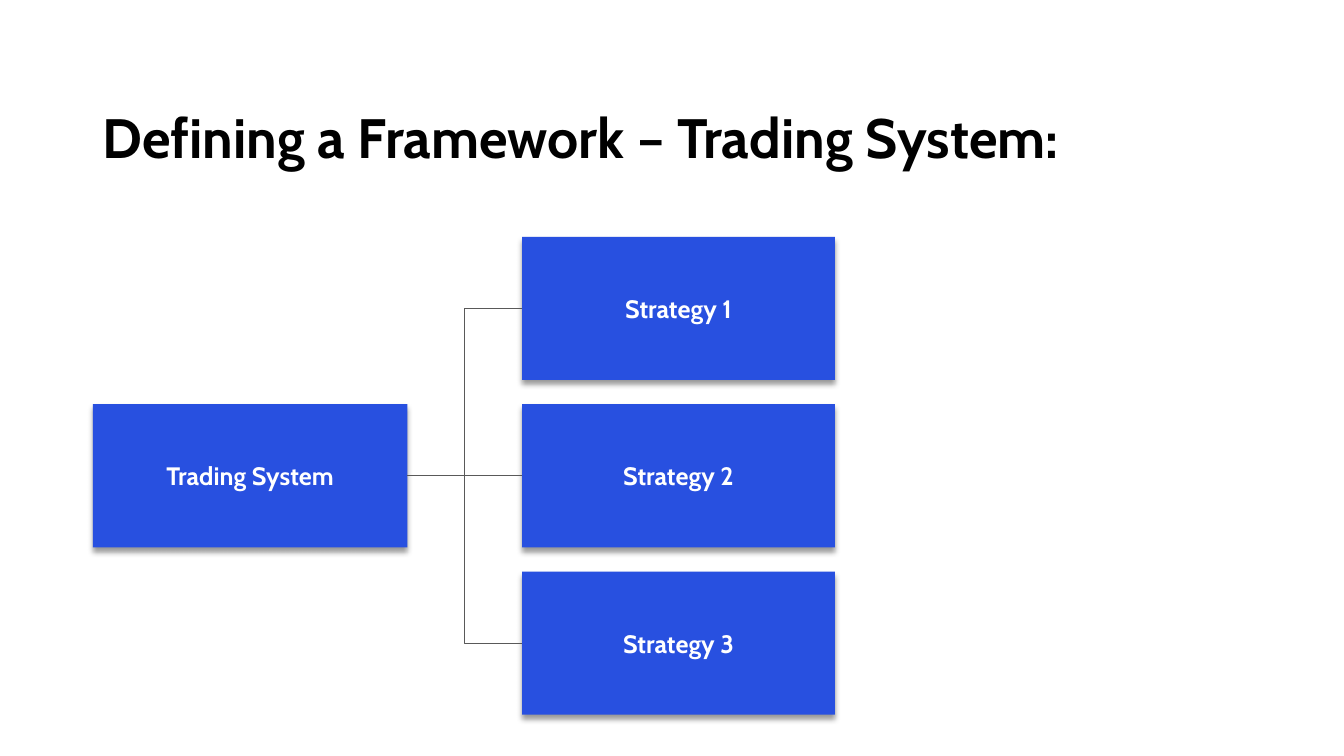
"""Build a slide showing a trading system branching into three strategies."""
import lxml.etree
import pptx
import pptx.dml.color
import pptx.enum.shapes
import pptx.enum.text
import pptx.oxml
import pptx.oxml.ns
import pptx.util
from dataclasses import dataclass

Inches = pptx.util.Inches
MIDDLE = pptx.enum.text.MSO_ANCHOR.MIDDLE


@dataclass(frozen=True)
class Theme:
    font: str = "Cabin"
    title_color: str = "000000"
    box_color: str = "2850E0"
    label_color: str = "FFFFFF"
    branch_color: str = "595959"
    title_size: float = 39.6
    label_size: float = 18
    branch_width: float = 0.5


theme = Theme()
EFFECTS = pptx.oxml.ns.qn("a:effectLst")
BOX_SHADOW = (
    f'<a:outerShdw {pptx.oxml.ns.nsdecls("a")} blurRad="50800" dist="38100" '
    'dir="5400000" algn="t" rotWithShape="0">'
    '<a:srgbClr val="000000"><a:alpha val="40000"/></a:srgbClr></a:outerShdw>'
)


def write(frame, text, size, color):
    frame.word_wrap = True
    frame.vertical_anchor = MIDDLE
    paragraph = frame.paragraphs[0]
    paragraph.text = text
    paragraph.font.name = theme.font
    paragraph.font.size = pptx.util.Pt(size)
    paragraph.font.bold = True
    paragraph.font.color.rgb = pptx.dml.color.RGBColor.from_string(color)
    return paragraph


def add_box(label, left, top, width):
    box = slide.shapes.add_shape(
        pptx.enum.shapes.MSO_SHAPE.RECTANGLE,
        Inches(left), Inches(top), Inches(width), Inches(box_height),
    )
    box.fill.solid()
    box.fill.fore_color.rgb = pptx.dml.color.RGBColor.from_string(theme.box_color)
    box.line.fill.background()
    box.shadow.inherit = False
    box._element.spPr.find(EFFECTS).append(pptx.oxml.parse_xml(BOX_SHADOW))
    paragraph = write(box.text_frame, label, theme.label_size, theme.label_color)
    paragraph.alignment = pptx.enum.text.PP_ALIGN.CENTER
    return box


deck = pptx.Presentation()
deck.slide_width, deck.slide_height = Inches(13.33), Inches(7.5)
slide = deck.slides.add_slide(deck.slide_layouts[6])

title = slide.shapes.add_textbox(Inches(0.92), Inches(0.94), Inches(11.5), Inches(0.91))
heading = write(
    title.text_frame, "Defining a Framework – Trading System:",
    theme.title_size, theme.title_color,
)
heading.line_spacing = 0.9

box_height = 1.42
first_top = 2.35
row_step = 1.66
system = add_box("Trading System", 0.92, first_top + row_step, 3.12)
strategies = [
    add_box(f"Strategy {row + 1}", 5.18, first_top + row * row_step, 3.1)
    for row in range(3)
]

right_site, left_site = 3, 1
for strategy in strategies:
    branch = slide.shapes.add_connector(
        pptx.enum.shapes.MSO_CONNECTOR.ELBOW, 0, 0, 0, 0
    )
    branch.begin_connect(system, right_site)
    branch.end_connect(strategy, left_site)
    branch.line.color.rgb = pptx.dml.color.RGBColor.from_string(theme.branch_color)
    branch.line.width = pptx.util.Pt(theme.branch_width)
    lxml.etree.SubElement(branch._element.spPr, EFFECTS)

deck.save("out.pptx")
